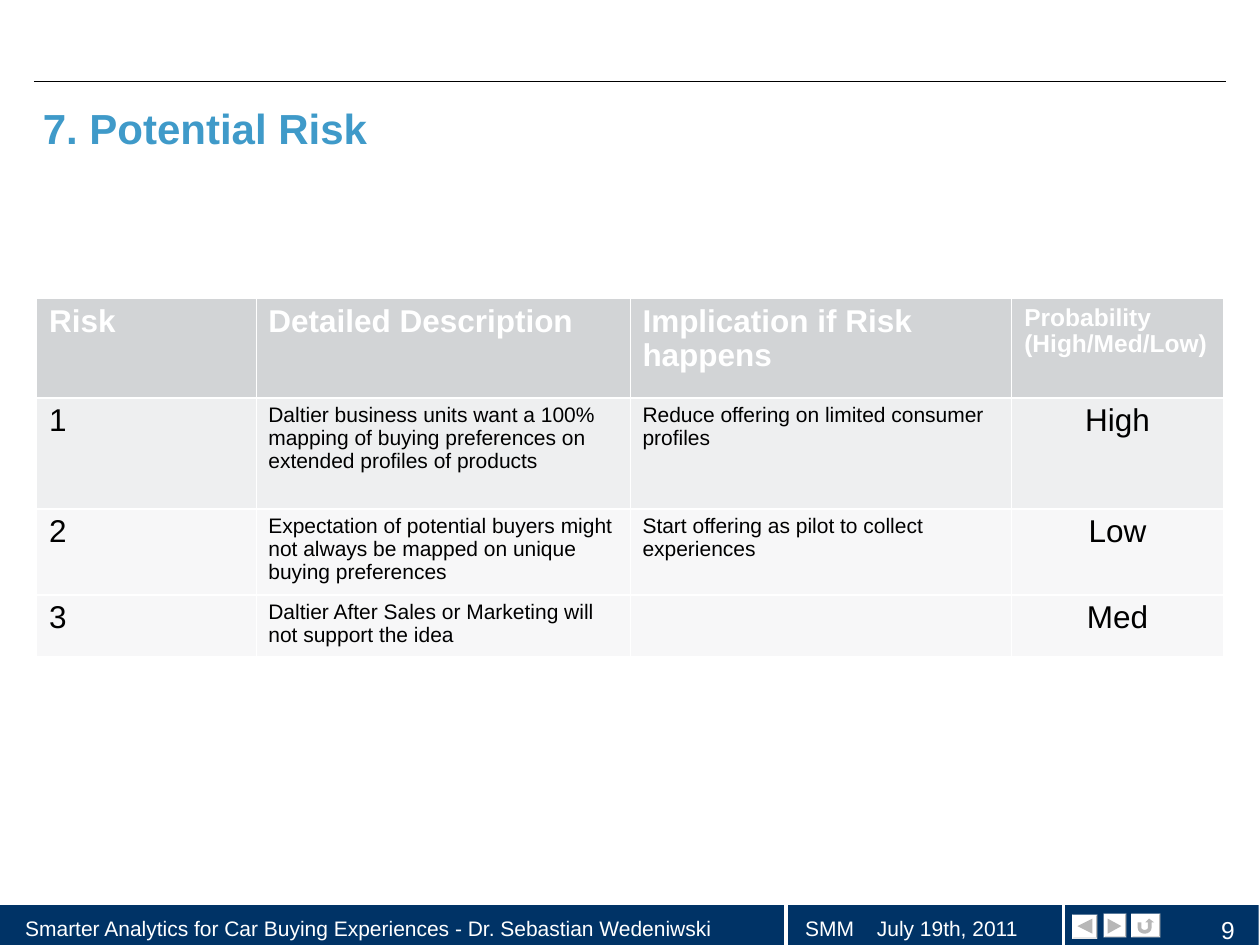
from dataclasses import dataclass
from math import cos, pi, sin

from lxml import etree
from pptx import Presentation
from pptx.dml.color import RGBColor
from pptx.enum.shapes import MSO_CONNECTOR, MSO_SHAPE
from pptx.enum.text import MSO_ANCHOR, MSO_AUTO_SIZE, PP_ALIGN
from pptx.oxml import parse_xml
from pptx.oxml.ns import nsdecls, qn
from pptx.util import Inches, Pt

RECT, LINE = MSO_SHAPE.RECTANGLE, MSO_CONNECTOR.STRAIGHT
LEFT, MID, RIGHT = PP_ALIGN.LEFT, PP_ALIGN.CENTER, PP_ALIGN.RIGHT
TOP, CENTER = MSO_ANCHOR.TOP, MSO_ANCHOR.MIDDLE


@dataclass(frozen=True)
class Theme:
    font: str = "Arial"
    navy: RGBColor = RGBColor(0x00, 0x33, 0x66)
    blue: RGBColor = RGBColor(0x3F, 0x9A, 0xC9)
    white: RGBColor = RGBColor(0xFF, 0xFF, 0xFF)
    black: RGBColor = RGBColor(0x00, 0x00, 0x00)
    head: RGBColor = RGBColor(0xD2, 0xD4, 0xD6)
    band: RGBColor = RGBColor(0xEE, 0xEF, 0xF0)
    pale: RGBColor = RGBColor(0xF7, 0xF7, 0xF8)
    shade: RGBColor = RGBColor(0xB7, 0xB7, 0xB7)
    edge: RGBColor = RGBColor(0xDB, 0xDB, 0xDB)
    title: int = 24
    large: int = 18
    mid: int = 14
    small: int = 12


theme = Theme()


def write(frame, text, size=theme.small, color=theme.white, bold=False,
          align=LEFT, space=0.97, tab=None):
    """Fill a text frame, one paragraph per line of text."""
    frame.word_wrap = True
    for i, line in enumerate(text.split("\n")):
        para = frame.paragraphs[0] if i == 0 else frame.add_paragraph()
        para.alignment, para.line_spacing = align, space
        if tab:
            stops = etree.SubElement(para._p.get_or_add_pPr(), qn("a:tabLst"))
            etree.SubElement(stops, qn("a:tab"), pos=str(Inches(tab)), algn="l")
        run = para.add_run()
        run.text = line
        font = run.font
        font.name, font.size, font.bold = theme.font, Pt(size), bold
        font.color.rgb = color


def draw(points, color):
    """Draw a closed outline with a plain fill."""
    spots = [(Inches(x), Inches(y)) for x, y in points]
    pen = slide.shapes.build_freeform(*spots[0])
    pen.add_line_segments(spots[1:], close=True)
    shape = pen.convert_to_shape()
    shape.shadow.inherit = False
    shape.fill.solid()
    shape.fill.fore_color.rgb = color
    shape.line.fill.background()


deck = Presentation()
deck.slide_width, deck.slide_height = Inches(10), Inches(7.5)
slide = deck.slides.add_slide(deck.slide_layouts[5])

# Footer bar
foot, high = 7.17, 0.35
for x, wide in ((0, 6.24), (6.24, 2.2), (8.44, 1.55)):
    bar = slide.shapes.add_shape(RECT, Inches(x), Inches(foot), Inches(wide), Inches(high))
    bar.shadow.inherit = False
    bar.fill.solid()
    bar.fill.fore_color.rgb = theme.navy
    bar.line.fill.background()

# Footer dividers and top rule
for x1, y1, x2, y2, color, wide in (
        (6.24, foot, 6.24, foot + high, theme.white, 2.15),
        (8.44, foot, 8.44, foot + high, theme.white, 2.15),
        (0, foot, 9.99, foot, theme.white, 2.15),
        (0.27, 0.65, 9.73, 0.65, theme.black, 0.5)):
    rule = slide.shapes.add_connector(LINE, Inches(x1), Inches(y1), Inches(x2), Inches(y2))
    rule.line.color.rgb, rule.line.width = color, Pt(wide)
    etree.SubElement(rule._element.spPr, qn("a:effectLst"))

# Navigation buttons: face, bevel, symbol
turns = [pi * i / 8 for i in range(9)]
inner = [(9.085 - 0.025 * cos(t), 7.365 + 0.015 * sin(t)) for t in turns]
outer = [(9.085 + 0.055 * cos(t), 7.365 + 0.045 * sin(t)) for t in turns]
back = ([(9.03, 7.32), (9.06, 7.32)] + inner
        + [(9.11, 7.32), (9.09, 7.32), (9.12, 7.29), (9.16, 7.32), (9.14, 7.32)] + outer)
rim = 0.01
for x, y, wide, sign in (
        (8.76, 7.25, 0.18, [(8.79, 7.29), (8.9, 7.35), (8.79, 7.41)]),
        (8.98, 7.25, 0.23, back),
        (8.51, 7.26, 0.2, [(8.55, 7.35), (8.67, 7.29), (8.67, 7.41)])):
    r, b = x + wide, y + 0.19
    face = [(x, y), (r, y), (r, b), (x, b)]
    core = [(x + rim, y + rim), (r - rim, y + rim), (r - rim, b - rim), (x + rim, b - rim)]
    draw(face, theme.white)
    for i, color in enumerate((theme.white, theme.shade, theme.edge, theme.white)):
        j = (i + 1) % 4
        draw([face[i], face[j], core[j], core[i]], color)
    draw(sign, theme.shade)

# Footer text
for x, y, wide, high, pad, text, form in (
        (9.26, 7.28, 0.54, 0.22, 0, "9", dict(size=theme.mid, align=RIGHT)),
        (0.04, 7.2, 6.17, 0.35, 0.16,
         "Smarter Analytics for Car Buying Experiences - Dr. Sebastian Wedeniwski", {}),
        (6.23, 7.22, 2.16, 0.31, 0.16, "SMM\tJuly 19th, 2011", dict(tab=0.57))):
    frame = slide.shapes.add_textbox(Inches(x), Inches(y), Inches(wide), Inches(high)).text_frame
    frame.margin_left = frame.margin_right = Inches(pad)
    frame.margin_top = frame.margin_bottom = 0
    frame.vertical_anchor = CENTER
    write(frame, text, **{"space": 0.9, **form})

# Title
title = slide.shapes.title
title.left, title.top = Inches(0.34), Inches(0.8)
title.width, title.height = Inches(9.66), Inches(0.88)
frame = title.text_frame
frame.auto_size, frame.vertical_anchor = MSO_AUTO_SIZE.NONE, TOP
frame.margin_left = frame.margin_top = frame.margin_right = 0
frame.margin_bottom = Inches(0.47)
write(frame, "7. Potential Risk", size=theme.title, color=theme.blue, bold=True, space=Pt(29.6))

# Risk table
rows = [
    ("Risk", "Detailed Description", "Implication if Risk happens",
     "Probability\n(High/Med/Low)"),
    ("1", "Daltier business units want a 100% mapping of buying preferences on "
     "extended profiles of products",
     "Reduce offering on limited consumer profiles", "High"),
    ("2", "Expectation of potential buyers might not always be mapped on unique "
     "buying preferences",
     "Start offering as pilot to collect experiences", "Low"),
    ("3", "Daltier After Sales or Marketing will not support the idea", "", "Med"),
]
fills = (theme.head, theme.band, theme.pale, theme.pale)
grid = slide.shapes.add_table(4, 4, Inches(0.29), Inches(2.37), Inches(9.42), Inches(2.84)).table
for col, wide in zip(grid.columns, (1.74, 2.97, 3.03, 1.68)):
    col.width = Inches(wide)
for row, tall in zip(grid.rows, (0.79, 0.88, 0.68, 0.49)):
    row.height = Inches(tall)

thin, thick = Pt(0.34), Pt(1.75)
for i, row in enumerate(rows):
    for j, text in enumerate(row):
        cell = grid.cell(i, j)
        sides = {"lnL": thin, "lnR": thin,
                 "lnT": thick if i else thin, "lnB": thick if i < 3 else thin}
        for side, wide in sides.items():
            cell._tc.get_or_add_tcPr().append(parse_xml(
                f'<a:{side} {nsdecls("a")} w="{wide}"><a:solidFill>'
                f'<a:srgbClr val="{theme.white}"/></a:solidFill></a:{side}>'))
        cell.fill.solid()
        cell.fill.fore_color.rgb = fills[i]
        if not text:
            continue
        if i == 0:
            size = theme.mid if j == 3 else theme.large
            write(cell.text_frame, text, size=size, bold=True)
        else:
            size = theme.small if j in (1, 2) else theme.large
            write(cell.text_frame, text, size=size, color=theme.black,
                  align=MID if j == 3 else LEFT)

deck.save("out.pptx")
